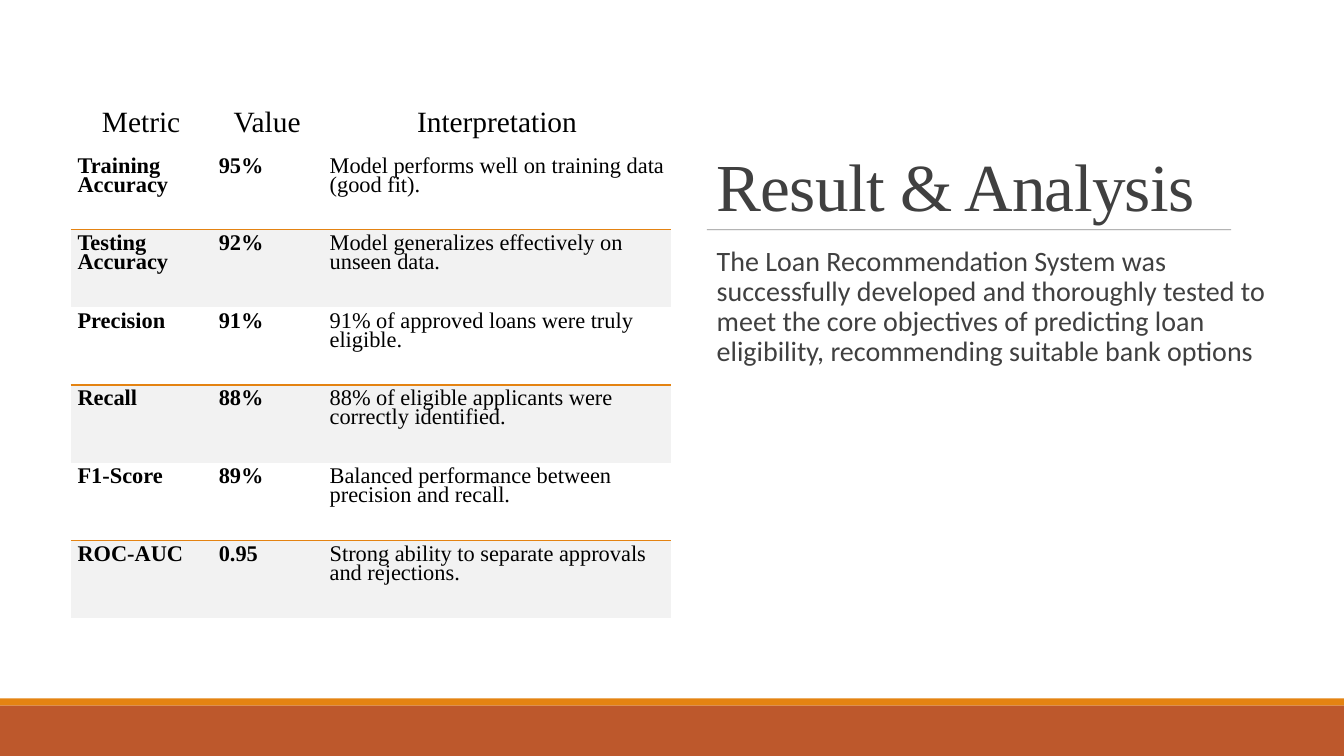
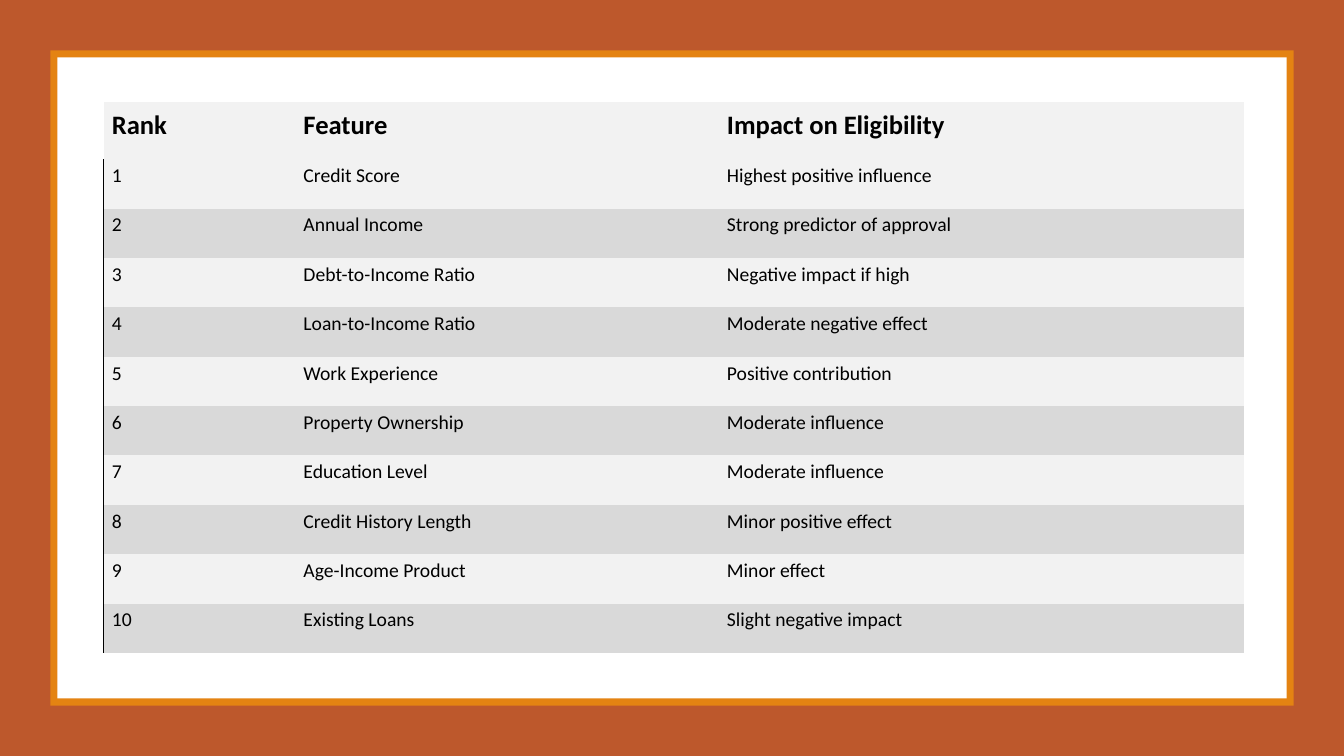
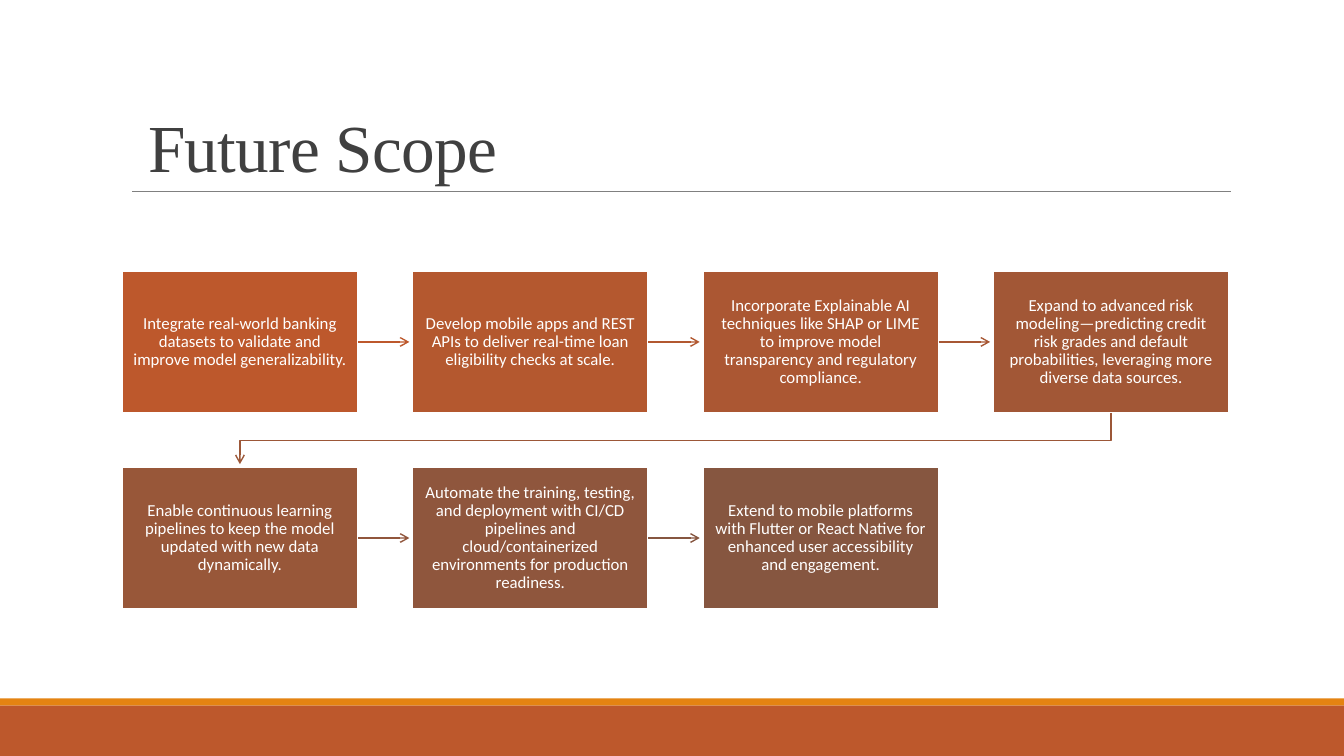
from pptx import Presentation
from pptx.dml.color import RGBColor
from pptx.enum.shapes import MSO_CONNECTOR as CONNECTOR, MSO_SHAPE as SHAPE
from pptx.enum.text import MSO_ANCHOR as ANCHOR, PP_ALIGN as ALIGN
from pptx.oxml.ns import qn
from pptx.util import Inches, Pt
from lxml.etree import SubElement

RUST = RGBColor(0xBD, 0x58, 0x2C)
BROWN = RGBColor(0x86, 0x56, 0x40)
GOLD = RGBColor(0xE4, 0x83, 0x12)
WHITE = RGBColor(0xFF, 0xFF, 0xFF)
BLACK = RGBColor(0x00, 0x00, 0x00)
CHARCOAL = RGBColor(0x40, 0x40, 0x40)
RULE_GRAY = RGBColor(0x80, 0x80, 0x80)
PALE_GRAY = RGBColor(0xF2, 0xF2, 0xF2)
MID_GRAY = RGBColor(0xD9, 0xD9, 0xD9)

SERIF, SANS = "Times New Roman", "Calibri"
PAGE_WIDTH, PAGE_HEIGHT = 13.33, 7.5
SIDES = ("L", "R", "T", "B")
NO_STYLE = "{2D5ABB26-0587-4C30-8999-92F81FD0307C}"

TITLE_FONT = {"name": SERIF, "size": Pt(48)}
BODY_FONT = {"name": SANS, "size": Pt(20)}
STEP_FONT = {"name": SANS, "size": Pt(12)}

METRICS = [
    ("Metric", "Value", "Interpretation"),
    ("Training Accuracy", "95%", "Model performs well on training data (good fit)."),
    ("Testing Accuracy", "92%", "Model generalizes effectively on unseen data."),
    ("Precision", "91%", "91% of approved loans were truly eligible."),
    ("Recall", "88%", "88% of eligible applicants were correctly identified."),
    ("F1-Score", "89%", "Balanced performance between precision and recall."),
    ("ROC-AUC", "0.95", "Strong ability to separate approvals and rejections."),
]
FEATURES = [
    ("Rank", "Feature", "Impact on Eligibility"),
    ("1", "Credit Score", "Highest positive influence"),
    ("2", "Annual Income", "Strong predictor of approval"),
    ("3", "Debt-to-Income Ratio", "Negative impact if high"),
    ("4", "Loan-to-Income Ratio", "Moderate negative effect"),
    ("5", "Work Experience", "Positive contribution"),
    ("6", "Property Ownership", "Moderate influence"),
    ("7", "Education Level", "Moderate influence"),
    ("8", "Credit History Length", "Minor positive effect"),
    ("9", "Age-Income Product", "Minor effect"),
    ("10", "Existing Loans", "Slight negative impact"),
]
SUMMARY = (
    "The Loan Recommendation System was successfully developed and thoroughly tested "
    "to meet the core objectives of predicting loan eligibility, recommending suitable "
    "bank options"
)
STEPS = [
    "Integrate real-world banking datasets to validate and improve model generalizability.",
    "Develop mobile apps and REST APIs to deliver real-time loan eligibility checks at scale.",
    "Incorporate Explainable AI techniques like SHAP or LIME to improve model "
    "transparency and regulatory compliance.",
    "Expand to advanced risk modeling—predicting credit risk grades and default "
    "probabilities, leveraging more diverse data sources.",
    "Enable continuous learning pipelines to keep the model updated with new data dynamically.",
    "Automate the training, testing, and deployment with CI/CD pipelines and "
    "cloud/containerized environments for production readiness.",
    "Extend to mobile platforms with Flutter or React Native for enhanced user "
    "accessibility and engagement.",
]


def inches(values):
    """Convert numbers to lengths."""
    return [Inches(value) for value in values]


def apply_format(target, values):
    """Set each named attribute on the target."""
    for name, value in values.items():
        setattr(target, name, value)


def set_margins(target, insets):
    """Set left, top, right and bottom margins of a frame or cell."""
    names = ("margin_left", "margin_top", "margin_right", "margin_bottom")
    apply_format(target, dict(zip(names, inches(insets))))


def write_text(frame, text, font, color, layout):
    """Write one formatted paragraph and return its span."""
    para = frame.paragraphs[0]
    apply_format(para, layout)
    span = para.add_run()
    span.text = text
    apply_format(span.font, font)
    span.font.color.rgb = color
    return span


def add_text(page, box, text, font, insets, anchor, spacing):
    """Place a wrapped text box and return its span."""
    frame = page.shapes.add_textbox(*inches(box)).text_frame
    apply_format(frame, {"word_wrap": True, "vertical_anchor": anchor})
    set_margins(frame, insets)
    return write_text(frame, text, font, CHARCOAL, {"line_spacing": spacing})


def add_title(page, box, text, left_inset=0.1):
    """Place a slide title at the bottom of its box."""
    insets = (left_inset, 0.05, 0.1, 0.05)
    span = add_text(page, box, text, TITLE_FONT, insets, ANCHOR.BOTTOM, 0.85)
    span.font._element.set("spc", "-50")


def add_panel(page, box, color):
    """Draw a plain filled rectangle."""
    panel = page.shapes.add_shape(SHAPE.RECTANGLE, *inches(box))
    panel.shadow.inherit = False
    panel.fill.solid()
    panel.fill.fore_color.rgb = color
    panel.line.fill.background()
    return panel


def add_footer(page):
    """Draw the two footer bands."""
    add_panel(page, (0, 6.93, PAGE_WIDTH, 0.07), GOLD)
    add_panel(page, (0, 7, PAGE_WIDTH, 0.5), RUST)


def style_line(shape, color, width, alpha=None, arrow=False):
    """Style an outline and return its XML element."""
    shape.line.color.rgb = color
    shape.line.width = Pt(width)
    outline = shape._element.spPr.find(qn("a:ln"))
    if alpha:
        tint = outline.find(".//" + qn("a:srgbClr"))
        SubElement(tint, qn("a:alpha"), val=str(alpha * 1000))
    if arrow:
        SubElement(outline, qn("a:tailEnd"), type="arrow")


def add_line(page, start, end, color, width, **options):
    """Draw a straight line without a shadow."""
    line = page.shapes.add_connector(CONNECTOR.STRAIGHT, *inches(start + end))
    style_line(line, color, width, **options)
    SubElement(line._element.spPr, qn("a:effectLst"))


def set_borders(cell, edges):
    """Draw the named cell edges and clear the others."""
    properties = cell._tc.get_or_add_tcPr()
    for side in SIDES:
        border = SubElement(properties, qn("a:ln" + side), w=str(Pt(1)))
        if side in edges:
            paint = SubElement(border, qn("a:solidFill"))
            SubElement(paint, qn("a:srgbClr"), val=str(edges[side]))
        else:
            SubElement(border, qn("a:noFill"))


def add_grid(page, box, rows, widths, heights, insets, style):
    """Place a table whose cells are styled by row and column."""
    holder = page.shapes.add_table(len(rows), len(widths), *inches(box))
    table = holder.table
    apply_format(table, {"first_row": False, "horz_banding": False})
    table._tbl.tblPr.find(qn("a:tableStyleId")).text = NO_STYLE
    for column, width in zip(table.columns, widths):
        column.width = Inches(width)
    for index, row in enumerate(table.rows):
        row.height = Inches(heights[min(index, 1)])
        for position, text in enumerate(rows[index]):
            cell = row.cells[position]
            look = style(index, position)
            set_margins(cell, insets)
            cell.vertical_anchor = look["anchor"]
            set_borders(cell, look["edges"])
            if look["fill"]:
                cell.fill.solid()
                cell.fill.fore_color.rgb = look["fill"]
            else:
                cell.fill.background()
            write_text(cell.text_frame, text, look["font"], BLACK, look["layout"])


def metric_style(row, column):
    """Style a metric cell: gray even rows under a gold line."""
    banded = row > 0 and row % 2 == 0
    edges = {"T": GOLD} if banded else {}
    if row % 2 and row < len(METRICS) - 1:
        edges = {"B": GOLD}
    return {
        "anchor": ANCHOR.TOP if row else ANCHOR.BOTTOM,
        "fill": PALE_GRAY if banded else None,
        "edges": edges,
        "font": {"name": SERIF, "size": Pt(16 if row else 21), "bold": row > 0 and column < 2},
        "layout": {"line_spacing": Pt(13.5), "alignment": ALIGN.LEFT if row else ALIGN.CENTER},
    }


def feature_style(row, column):
    """Style a feature cell: alternating grays and a black left edge."""
    return {
        "anchor": ANCHOR.MIDDLE if row else ANCHOR.BOTTOM,
        "fill": MID_GRAY if row and row % 2 == 0 else PALE_GRAY,
        "edges": {"L": BLACK} if row and column == 0 else {},
        "font": {"name": SANS, "size": Pt(14 if row else 19), "bold": row == 0},
        "layout": {"alignment": ALIGN.LEFT},
    }


def blend(share):
    """Mix rust into brown by a share from 0 to 1."""
    return RGBColor(*(round(a + (b - a) * share) for a, b in zip(RUST, BROWN)))


def add_step(page, box, text, color):
    """Draw one process step with its text."""
    step = add_panel(page, box, color)
    style_line(step, WHITE, 1.25)
    frame = step.text_frame
    apply_format(frame, {"word_wrap": True, "vertical_anchor": ANCHOR.MIDDLE})
    set_margins(frame, (0.11, 0.12, 0.11, 0.12))
    write_text(frame, text, STEP_FONT, WHITE, {"alignment": ALIGN.CENTER, "line_spacing": 0.9})


def add_turn(page, start, end, color):
    """Draw the bent arrow from the end of one row to the next."""
    middle = round((start[1] + end[1]) / 2 + 0.02, 2)
    corners = [(start[0], middle), (end[0], middle), end]
    outline = page.shapes.build_freeform(*inches(start), scale=1.0)
    outline.add_line_segments([inches(corner) for corner in corners], close=False)
    turn = outline.convert_to_shape()
    turn.shadow.inherit = False
    turn.fill.background()
    style_line(turn, color, 1, arrow=True)


def add_process(page, box, steps, per_row=4):
    """Lay steps out in rows and join them with arrows."""
    left, top, width, height = box
    gap_x, gap_y, clearance = 0.54, 0.54, 0.03
    step_width = (width - gap_x * (per_row - 1)) / per_row
    step_height = (height - gap_y) / 2
    spots = [
        (left + index % per_row * (step_width + gap_x),
         top + index // per_row * (step_height + gap_y))
        for index in range(len(steps))
    ]
    for index, (x, y) in enumerate(spots):
        add_step(page, (x, y, step_width, step_height), steps[index], blend(index / (len(steps) - 1)))
    for index, ((x, y), (next_x, next_y)) in enumerate(zip(spots, spots[1:])):
        color = blend(index / (len(steps) - 2))
        if y == next_y:
            level = y + step_height / 2
            add_line(page, (x + step_width, level), (next_x - clearance, level), color, 1, arrow=True)
        else:
            half = step_width / 2
            add_turn(page, (x + half, y + step_height), (next_x + half, next_y - clearance), color)


def build_results(page):
    """Build the metrics table beside its title and summary."""
    left, width = 7.01, 5.61
    add_title(page, (left, 0.69, width, 1.59), "Result & Analysis")
    add_line(page, (left, 2.28), (12.21, 2.28), RULE_GRAY, 0.5, alpha=90)
    insets = (0.1, 0.05, 0, 0.05)
    add_text(page, (left, 2.4, width, 4.01), SUMMARY, BODY_FONT, insets, ANCHOR.TOP, 0.9)
    add_footer(page)
    add_grid(page, (0.7, 0.99, 5.96, 5.16), METRICS, (1.4, 1.1, 3.46), (0.52, 0.77),
             (0.07, 0.07, 0.07, 0.13), metric_style)


def build_features(page):
    """Build the framed feature ranking."""
    for margin, color in ((0, RUST), (0.5, GOLD), (0.57, WHITE)):
        box = (margin, margin, PAGE_WIDTH - 2 * margin, PAGE_HEIGHT - 2 * margin)
        add_panel(page, box, color)
    add_grid(page, (1.03, 1.01, 11.31, 5.46), FEATURES, (1.9, 4.2, 5.21), (0.57, 0.49),
             (0.08, 0.02, 0.1, 0.18), feature_style)


def build_scope(page):
    """Build the future scope process."""
    add_footer(page)
    add_line(page, (1.31, 1.9), (12.21, 1.9), RULE_GRAY, 0.5)
    add_title(page, (1.2, 0.31, 11, 1.59), "Future Scope", left_inset=0.27)
    add_process(page, (1.21, 2.69, 10.98, 3.35), STEPS)


def main():
    """Build and save the deck."""
    deck = Presentation()
    deck.slide_width, deck.slide_height = inches((PAGE_WIDTH, PAGE_HEIGHT))
    for build in (build_results, build_features, build_scope):
        build(deck.slides.add_slide(deck.slide_layouts[6]))
    deck.save("out.pptx")


if __name__ == "__main__":
    main()
